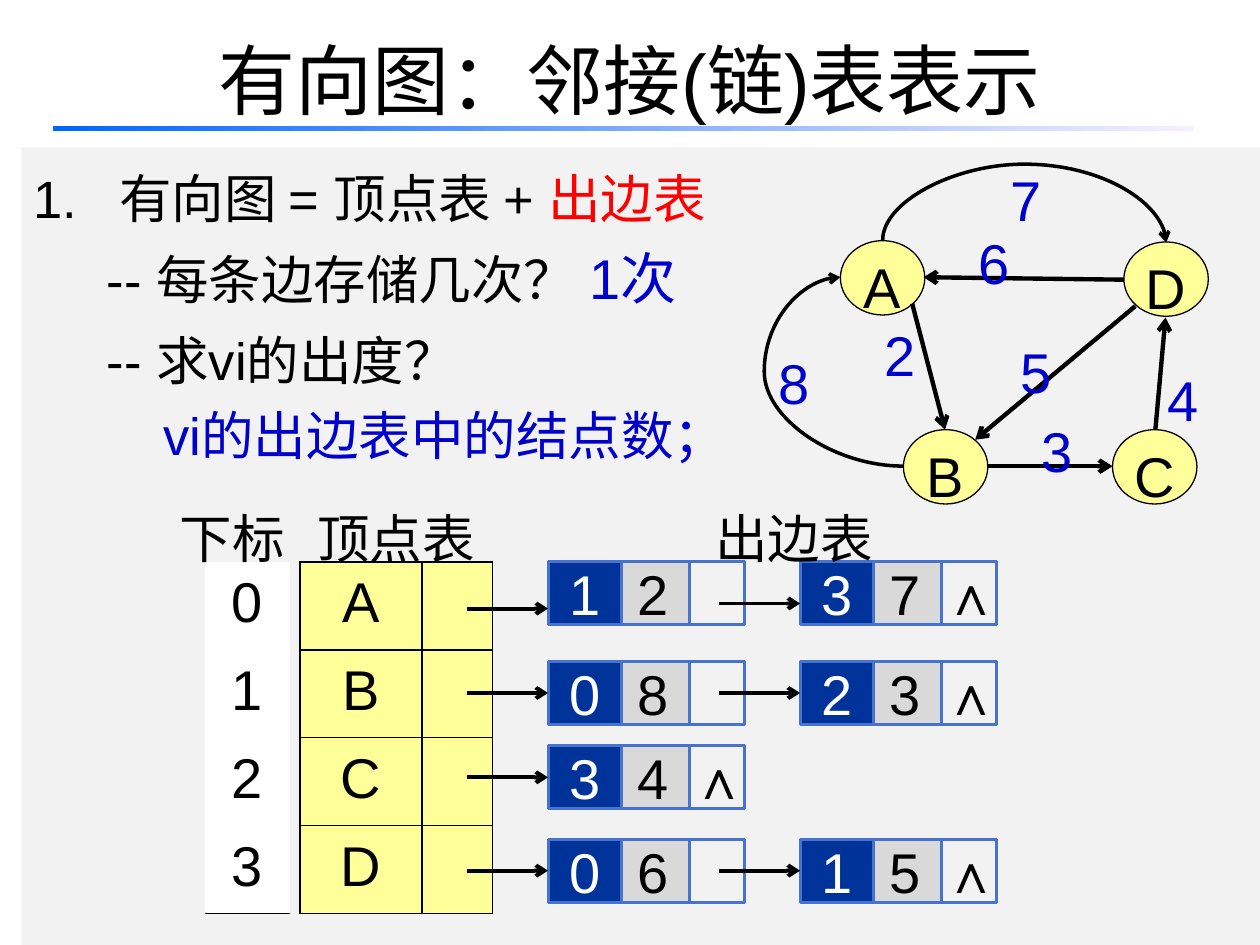
"""Build a slide on the adjacency list representation of a directed graph."""
from lxml import etree
from pptx import Presentation
from pptx.dml.color import RGBColor
from pptx.enum.shapes import MSO_CONNECTOR, MSO_SHAPE
from pptx.enum.text import MSO_ANCHOR, PP_ALIGN
from pptx.oxml.ns import qn
from pptx.util import Inches, Pt

STRAIGHT, CURVE = MSO_CONNECTOR.STRAIGHT, MSO_CONNECTOR.CURVE
RECTANGLE, OVAL = MSO_SHAPE.RECTANGLE, MSO_SHAPE.OVAL
MIDDLE, TOP = MSO_ANCHOR.MIDDLE, MSO_ANCHOR.TOP
LEFT, CENTER, JUSTIFY = PP_ALIGN.LEFT, PP_ALIGN.CENTER, PP_ALIGN.JUSTIFY
BLACK = RGBColor(0x00, 0x00, 0x00)
WHITE = RGBColor(0xFF, 0xFF, 0xFF)
RED = RGBColor(0xFF, 0x00, 0x00)
BLUE = RGBColor(0x00, 0x00, 0xCC)
NAVY = RGBColor(0x00, 0x33, 0x99)
OUTLINE = RGBColor(0x45, 0x73, 0xCF)
YELLOW = RGBColor(0xFF, 0xFF, 0x99)
PANEL = RGBColor(0xF2, 0xF2, 0xF2)
GRAY = RGBColor(0xD9, 0xD9, 0xD9)
RULE_START = RGBColor(0x00, 0x66, 0xFF)
RULE_END = RGBColor(0xF7, 0xEF, 0xFF)

deck = Presentation()
deck.slide_width, deck.slide_height = Inches(10), Inches(7.5)
page = deck.slides.add_slide(deck.slide_layouts[5])


def write(para, text, size=32, color=BLACK, bold=False, align=LEFT, spacing=1.0):
    para.alignment = align
    para.line_spacing = spacing
    span = para.add_run()
    span.text = text
    span.font.name = "Arial"
    span.font.size = Pt(size)
    span.font.bold = bold
    span.font.color.rgb = color


def add_arrow(kind, start, end, width):
    arrow = page.shapes.add_connector(kind, *map(Inches, start + end))
    arrow.line.color.rgb = BLACK
    arrow.line.width = Pt(width)
    etree.SubElement(arrow.line._get_or_add_ln(), qn("a:tailEnd"), type="arrow")
    etree.SubElement(arrow._element.spPr, qn("a:effectLst"))
    return arrow


title = page.shapes.title
title.left, title.top, title.width, title.height = map(Inches, (0.5, 0, 9, 1.25))
title.text_frame.vertical_anchor = MIDDLE
write(title.text_frame.paragraphs[0], "有向图：邻接(链)表表示", size=44, align=CENTER)

panel = page.shapes.add_shape(RECTANGLE, *map(Inches, (0.17, 1.17, 9.83, 6.33)))
panel.shadow.inherit = False
panel.fill.solid()
panel.fill.fore_color.rgb = PANEL
panel.line.fill.background()
panel.text_frame.word_wrap = True
panel.text_frame.vertical_anchor = TOP
points = [
    (0.68, -0.68, 0, [("1.\t有向图 = 顶点表 + ", BLACK), ("出边表", RED)]),
    (0.58, 0, 3, [("-- 每条边存储几次？", BLACK)]),
    (0.58, 0, 3, [("-- 求vi的出度？", BLACK)]),
    (1.03, 0, 0, [("vi的出边表中的结点数；", BLUE)]),
]
for index, (margin, indent, before, spans) in enumerate(points):
    frame = panel.text_frame
    para = frame.add_paragraph() if index else frame.paragraphs[0]
    properties = para._p.get_or_add_pPr()
    properties.set("marL", str(Inches(margin)))
    properties.set("indent", str(Inches(indent)))
    para.space_before = Pt(before)
    for text, color in spans:
        write(para, text, size=30, color=color, align=JUSTIFY, spacing=1.2)

rule = page.shapes.add_shape(RECTANGLE, *map(Inches, (0.42, 1, 9.05, 0.04)))
rule.shadow.inherit = False
rule.line.fill.background()
rule.fill.gradient()
rule.fill.gradient_angle = 0
for stop, color in zip(rule.fill.gradient_stops, (RULE_START, RULE_END)):
    stop.color.rgb = color

tables = [
    (2.38, (0.97, 0.56), "ABCD", YELLOW, ("lnL", "lnR", "lnT", "lnB")),
    (1.63, (0.67,), "0123", WHITE, ("lnB",)),
]
for left, widths, labels, color, drawn in tables:
    place = map(Inches, (left, 4.46, sum(widths), 2.79))
    table = page.shapes.add_table(len(labels), len(widths), *place).table
    table.first_row = table.horz_banding = False
    for column, width in zip(table.columns, widths):
        column.width = Inches(width)
    for row, label in enumerate(labels):
        write(table.cell(row, 0).text_frame.paragraphs[0], label, align=CENTER, spacing=0.9)
    for cell in table.iter_cells():
        cell.vertical_anchor = MIDDLE
        properties = cell._tc.get_or_add_tcPr()
        for side in ("lnL", "lnR", "lnT", "lnB"):
            border = etree.SubElement(properties, qn(f"a:{side}"), w=str(Pt(1)))
            if side in drawn:
                fill = etree.SubElement(border, qn("a:solidFill"))
                etree.SubElement(fill, qn("a:srgbClr"), val=str(BLACK))
            else:
                etree.SubElement(border, qn("a:noFill"))
        cell.fill.solid()
        cell.fill.fore_color.rgb = color

edge_lists = [
    (4.46, [("1", "2", 0.37), ("3", "7", 0.33)]),
    (5.25, [("0", "8", 0.25), ("2", "3", 0.25)]),
    (5.92, [("3", "4", 0.25)]),
    (6.66, [("0", "6", 0.25), ("1", "5", 0.25)]),
]
for top, edges in edge_lists:
    for index, (target, weight, drop) in enumerate(edges):
        left = 4.35 + 2 * index
        link = " ∧" if index == len(edges) - 1 else ""
        parts = [
            (1.04, 0.52, link, None, BLACK),
            (0.54, 0.58, weight, GRAY, BLACK),
            (0, 0.58, target, NAVY, WHITE),
        ]
        for offset, width, text, color, ink in parts:
            place = map(Inches, (left + offset, top, width, 0.5))
            box = page.shapes.add_shape(RECTANGLE, *place)
            box.shadow.inherit = False
            box.line.color.rgb = OUTLINE
            box.line.width = Pt(1.75)
            if color is None:
                box.fill.background()
            else:
                box.fill.solid()
                box.fill.fore_color.rgb = color
            box.text_frame.word_wrap = False
            box.text_frame.vertical_anchor = MIDDLE
            if text:
                write(box.text_frame.paragraphs[0], text, color=ink,
                      bold=text == " ∧", align=CENTER)
        height = top + drop
        arrow = add_arrow(STRAIGHT, (left - 0.64, height), (left, height), 2.25)
        if drop == 0.25:
            arrow.end_connect(box, 1)

vertices = [("A", 6.67, 1.91), ("D", 8.92, 1.92), ("B", 7.17, 3.41), ("C", 8.83, 3.41)]
for name, left, top in vertices:
    vertex = page.shapes.add_shape(OVAL, *map(Inches, (left, top, 0.67, 0.59)))
    vertex.shadow.inherit = False
    vertex.fill.solid()
    vertex.fill.fore_color.rgb = YELLOW
    vertex.line.color.rgb = BLACK
    vertex.line.width = Pt(0.75)
    vertex.text_frame.word_wrap = False
    vertex.text_frame.vertical_anchor = MIDDLE
    write(vertex.text_frame.paragraphs[0], name, align=CENTER, spacing=1.25)

straight_edges = [
    ((8.92, 2.22), (7.33, 2.2)),
    ((9.17, 3.41), (9.25, 2.52)),
    ((7.24, 2.41), (7.5, 3.41)),
    ((9.01, 2.43), (7.74, 3.49)),
    ((7.83, 3.7), (8.83, 3.7)),
]
for start, end in straight_edges:
    add_arrow(STRAIGHT, start, end, 2.5)

curved_edges = [
    ((8.14, 0.79), (8.12, 3.04), 270, -3000000),
    ((7.17, 3.7), (6.67, 2.2), 0, 220800),
]
for start, end, angle, bend in curved_edges:
    properties = add_arrow(CURVE, start, end, 2)._element.spPr
    properties.find(qn("a:xfrm")).set("rot", str(angle * 60000))
    guides = properties.find(qn("a:prstGeom")).find(qn("a:avLst"))
    etree.SubElement(guides, qn("a:gd"), name="adj1", fmla=f"val {bend}")

labels = [
    ("下标", 1.33, 3.84, 1.17, 0.58, 30, BLACK),
    ("顶点表", 2.42, 3.84, 1.58, 0.58, 30, BLACK),
    ("出边表", 5.58, 3.84, 1.83, 0.58, 30, BLACK),
    ("1次", 4.58, 1.75, 1.25, 0.77, 32, BLUE),
]
weights = [("6", 7.67, 1.63), ("4", 9.17, 2.72), ("5", 8, 2.5), ("3", 8.17, 3.12),
           ("2", 6.92, 2.36), ("7", 7.92, 1.13), ("8", 6.08, 2.58)]
labels += [(text, left, top, 0.75, 0.71, 32, BLUE) for text, left, top in weights]
for text, left, top, width, height, size, color in labels:
    box = page.shapes.add_textbox(*map(Inches, (left, top, width, height)))
    box.text_frame.word_wrap = True
    write(box.text_frame.paragraphs[0], text, size=size, color=color, spacing=1.25)

deck.save("out.pptx")
